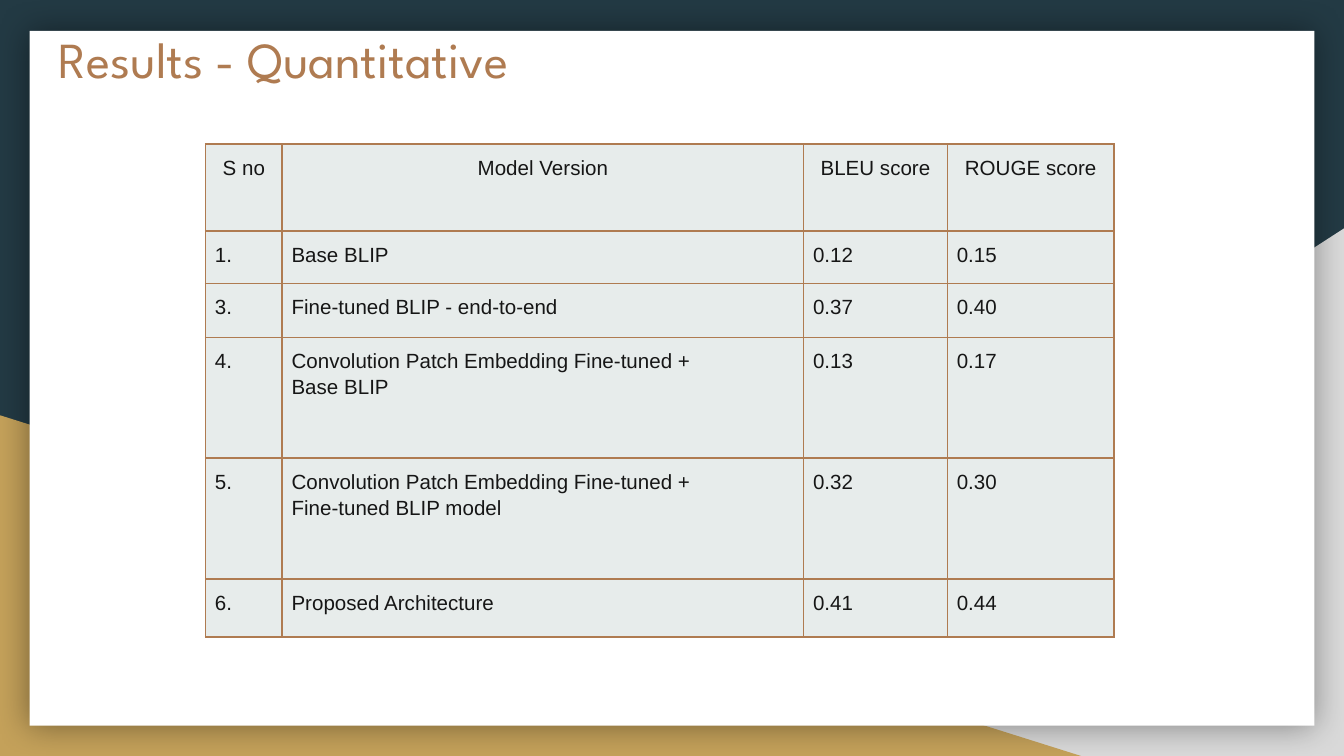
"""Build the quantitative results slide with its score table."""
from lxml import etree
from pptx import Presentation
from pptx import util as u
from pptx.dml.color import RGBColor
from pptx.enum import shapes, text
from pptx.oxml import parse_xml
from pptx.oxml.ns import nsdecls, qn

COLORS = {
    "navy": "233A44", "grey": "D9D9D9", "gold": "C4A15A", "white": "FFFFFF",
    "copper": "AF7B51", "cell": "E7ECEB", "ink": "161616", "shadow": "000000",
}


def color(name):
    return RGBColor.from_string(COLORS[name])


def add_run(paragraph, words, font, size, name):
    run = paragraph.add_run()
    run.text = words
    run.font.name = font
    run.font.size = u.Pt(size)
    run.font.color.rgb = color(name)


presentation = Presentation()
presentation.slide_width = u.Inches(10)
presentation.slide_height = u.Inches(10 * 9 / 16)
slide = presentation.slides.add_slide(presentation.slide_layouts[6])
slide.background.fill.solid()
slide.background.fill.fore_color.rgb = color("navy")

TRIANGLE = shapes.MSO_SHAPE.RIGHT_TRIANGLE
backdrop = []
for kind, box, name in [
    (TRIANGLE, (3.92, 1.7, 6.08, 3.93), "grey"),
    (TRIANGLE, (0, 3.09, 8.06, 2.54), "gold"),
    (shapes.MSO_SHAPE.RECTANGLE, (0.22, 0.23, 9.56, 5.17), "white"),
]:
    shape = slide.shapes.add_shape(kind, *map(u.Inches, box))
    shape.shadow.inherit = False
    shape.fill.solid()
    shape.fill.fore_color.rgb = color(name)
    shape.line.fill.background()
    backdrop.append(shape)
grey_triangle, gold_triangle, panel = backdrop
grey_triangle.element.spPr.find(qn("a:xfrm")).set("flipH", "1")
effects = panel.element.spPr.find(qn("a:effectLst"))
shadow = etree.SubElement(effects, qn("a:outerShdw"), blurRad=str(u.Pt(18)), dist="0", dir="0", algn="ctr", rotWithShape="0")
shade = etree.SubElement(shadow, qn("a:srgbClr"), val=COLORS["shadow"])
etree.SubElement(shade, qn("a:alpha"), val="40000")

title = slide.shapes.add_textbox(*map(u.Inches, (0.34, 0.11, 9.32, 0.63))).text_frame
title.word_wrap = True
title.vertical_anchor = text.MSO_ANCHOR.TOP
title.margin_left = title.margin_right = title.margin_top = title.margin_bottom = u.Inches(0.1)
add_run(title.paragraphs[0], "Results - Quantitative", "League Spartan", 27, "copper")

rows = [
    ("S no", "Model Version", "BLEU score", "ROUGE score"),
    ("1.", "Base BLIP", "0.12", "0.15"),
    ("3.", "Fine-tuned BLIP - end-to-end", "0.37", "0.40"),
    ("4.", "Convolution Patch Embedding Fine-tuned +\nBase BLIP", "0.13", "0.17"),
    ("5.", "Convolution Patch Embedding Fine-tuned +\nFine-tuned BLIP model", "0.32", "0.30"),
    ("6.", "Proposed Architecture", "0.41", "0.44"),
]
column_widths = [0.57, 3.88, 1.07, 1.24]
row_heights = [0.65, 0.39, 0.4, 0.9, 0.9, 0.43]
table = slide.shapes.add_table(
    len(rows), len(column_widths), u.Inches(1.53), u.Inches(1.07),
    u.Inches(sum(column_widths)), u.Inches(sum(row_heights))).table
for column, width in zip(table.columns, column_widths):
    column.width = u.Inches(width)
for row, height in zip(table.rows, row_heights):
    row.height = u.Inches(height)

for row_index, values in enumerate(rows):
    alignment = text.PP_ALIGN.JUSTIFY if row_index else text.PP_ALIGN.CENTER
    for column_index, value in enumerate(values):
        cell = table.cell(row_index, column_index)
        cell.margin_left = cell.margin_right = cell.margin_top = cell.margin_bottom = u.Inches(0.07)
        cell.fill.solid()
        cell.fill.fore_color.rgb = color("cell")
        for line_index, words in enumerate(value.split("\n")):
            frame = cell.text_frame
            paragraph = frame.add_paragraph() if line_index else frame.paragraphs[0]
            paragraph.alignment = alignment
            paragraph.line_spacing = 1.15
            add_run(paragraph, words, "Arial", 11, "ink")
        properties = cell._tc.get_or_add_tcPr()
        for position, side in enumerate("LRTB"):
            properties.insert(position, parse_xml(
                f'<a:ln{side} {nsdecls("a")} w="{u.Pt(1)}"><a:solidFill>'
                f'<a:srgbClr val="{COLORS["copper"]}"/></a:solidFill></a:ln{side}>'))

presentation.save("out.pptx")
